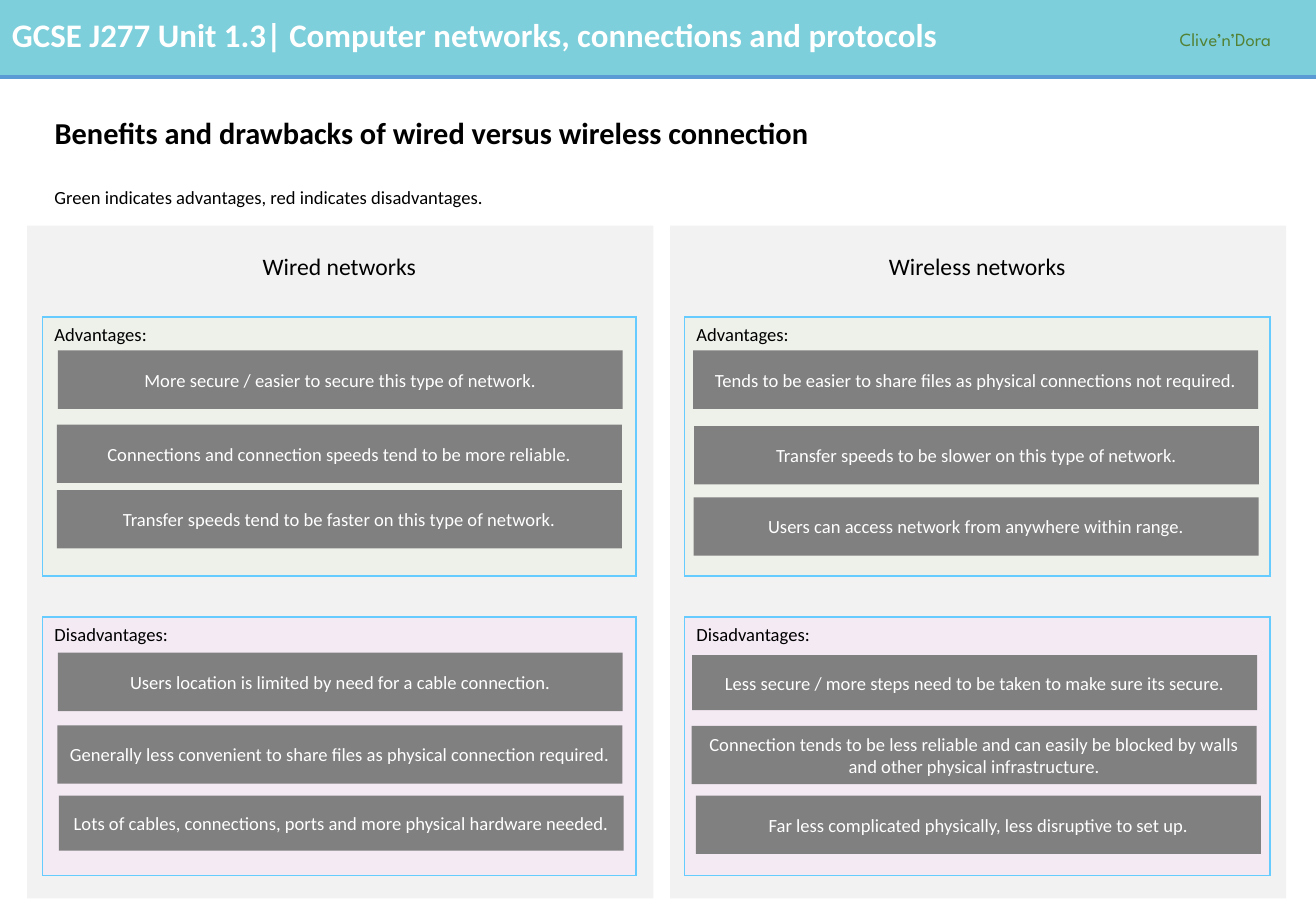
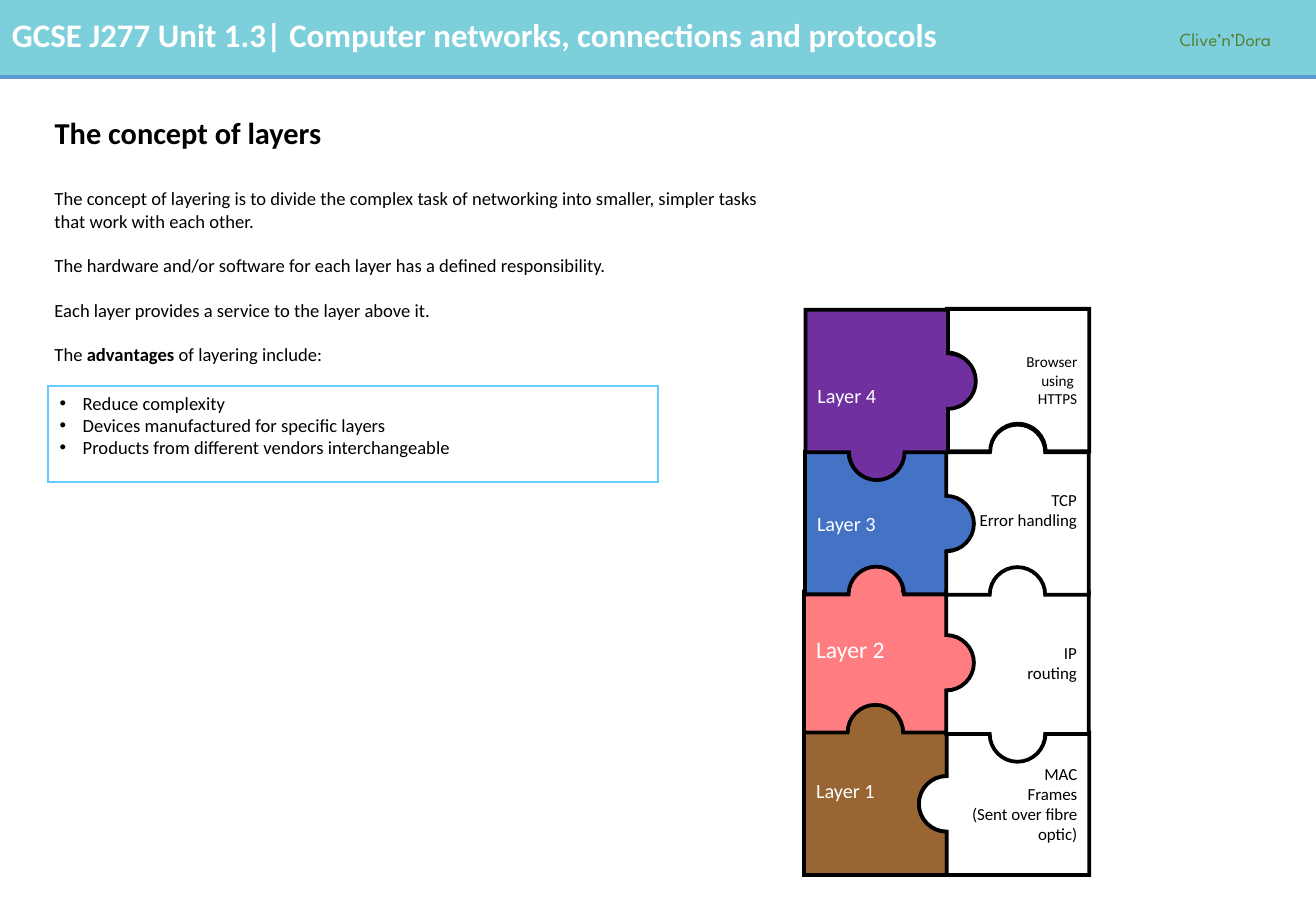
"""Build two revision slides on wired and wireless networks and on network layers."""
from dataclasses import dataclass

import pptx
import pptx.dml.color
import pptx.enum.shapes
import pptx.enum.text
import pptx.oxml.ns
import pptx.util
from lxml import etree

Cm = pptx.util.Cm
Pt = pptx.util.Pt
RGB = pptx.dml.color.RGBColor.from_string
ALIGN = pptx.enum.text.PP_ALIGN
ANCHOR = pptx.enum.text.MSO_ANCHOR
RECTANGLE = pptx.enum.shapes.MSO_SHAPE.RECTANGLE
qn = pptx.oxml.ns.qn


@dataclass(frozen=True)
class Theme:
    font: str = "Calibri"
    brand_font: str = "League Spartan"
    black: str = "000000"
    white: str = "FFFFFF"
    band: str = "7CCFDB"
    rule: str = "5B9BD5"
    brand: str = "548235"
    panel: str = "F2F2F2"
    card: str = "808080"
    outline: str = "66CCFF"
    advantage: str = "E2F0D9"
    disadvantage: str = "FFCCFF"
    purple: str = "7030A0"
    blue: str = "4472C4"
    coral: str = "FF7C80"
    brown: str = "996633"
    banner_size: float = 19.5
    title_size: float = 18
    heading_size: float = 14
    layer_size: float = 12
    body_size: float = 11
    detail_size: float = 10
    small_size: float = 9
    thin: float = 1
    thick: float = 2.25


theme = Theme()


def write(frame, paragraphs, size=theme.body_size, color=theme.black, font=theme.font,
          bold=False, align=ALIGN.LEFT, anchor=ANCHOR.TOP, gap=0, spacing=1.0, bullet=None):
    frame_format = {"word_wrap": True, "vertical_anchor": anchor,
                    "auto_size": pptx.enum.text.MSO_AUTO_SIZE.NONE}
    for key, value in frame_format.items():
        setattr(frame, key, value)
    for index, text in enumerate(paragraphs):
        paragraph = frame.add_paragraph() if index else frame.paragraphs[0]
        paragraph_format = {"alignment": align, "line_spacing": spacing,
                            "space_before": Pt(gap if index else 0), "space_after": Pt(0)}
        for key, value in paragraph_format.items():
            setattr(paragraph, key, value)
        if bullet:
            properties = paragraph._p.get_or_add_pPr()
            properties.set("marL", str(Cm(0.48)))
            properties.set("indent", str(-Cm(0.48)))
            etree.SubElement(properties, qn("a:buFont"), typeface="Arial")
            etree.SubElement(properties, qn("a:buChar"), char=bullet)
        for line_number, line in enumerate(text.split("\n")):
            if line_number:
                paragraph.add_line_break()
            for part, words in enumerate(line.split("*")):
                run = paragraph.add_run()
                run.text = words
                run_format = {"name": font, "size": Pt(size), "bold": bold or part % 2 == 1}
                for key, value in run_format.items():
                    setattr(run.font, key, value)
                run.font.color.rgb = RGB(color)


def paint(shape, fill=None, line=None, weight=theme.thin, opacity=None):
    shape.shadow.inherit = False
    if fill:
        shape.fill.solid()
        shape.fill.fore_color.rgb = RGB(fill)
    else:
        shape.fill.background()
    if opacity:
        color = shape.fill._xPr.find(qn("a:solidFill"))[0]
        etree.SubElement(color, qn("a:alpha"), val=str(opacity * 1000))
    if line:
        shape.line.color.rgb = RGB(line)
        shape.line.width = Pt(weight)
        etree.SubElement(shape.element.spPr.find(qn("a:ln")), qn("a:miter"), lim="800000")
    else:
        shape.line.fill.background()
    return shape


deck = pptx.Presentation()
deck.slide_width, deck.slide_height = Cm(27.51), Cm(19.05)
layout = deck.slide_layouts.get_by_name("Title Only")
for placeholder in list(layout.placeholders):
    if placeholder.placeholder_format.type != pptx.enum.shapes.PP_PLACEHOLDER.TITLE:
        layout.shapes.element.remove(placeholder.element)

titles = ["Benefits and drawbacks of wired versus wireless connection", "The concept of layers"]
for title in titles:
    slide = deck.slides.add_slide(layout)
    title_format = {"left": Cm(0.89), "top": Cm(2.11), "width": Cm(25.65), "height": Cm(1.42)}
    for key, value in title_format.items():
        setattr(slide.shapes.title, key, value)
    write(slide.shapes.title.text_frame, [title], size=theme.title_size, bold=True,
          anchor=ANCHOR.MIDDLE, spacing=0.9)
comparison, layers = deck.slides

band = paint(comparison.shapes.add_shape(RECTANGLE, 0, 0, deck.slide_width, Cm(1.61)), theme.band)
rule = comparison.shapes.add_connector(pptx.enum.shapes.MSO_CONNECTOR.STRAIGHT,
                                       0, Cm(1.61), deck.slide_width, Cm(1.61))
rule.line.color.rgb = RGB(theme.rule)
rule.line.width = Pt(theme.thick)
etree.SubElement(rule.element.spPr, qn("a:effectLst"))
banner = comparison.shapes.add_textbox(0, Cm(0.18), Cm(24.08), Cm(1.09))
write(banner.text_frame, ["GCSE J277 Unit 1.3| Computer networks, connections and protocols"],
      size=theme.banner_size, color=theme.white, bold=True)
brand = comparison.shapes.add_textbox(Cm(24.41), Cm(0.43), Cm(3.1), Cm(0.74))
write(brand.text_frame, ["Clive’n’Dora"], color=theme.brand, font=theme.brand_font, spacing=1.07)
for shared in (band, rule, banner, brand):
    layout.shapes.element.append(shared.element)

groups = [("Advantages:", 6.63, theme.advantage, 30),
          ("Disadvantages:", 12.9, theme.disadvantage, 20)]
networks = [
    ("Wired networks", (0.57, 13.09), (0.89, 12.41), [
        [(1.21, 7.33, 1.22, "More secure / easier to secure this type of network."),
         (1.19, 8.88, 1.22, "Connections and connection speeds tend to be more reliable."),
         (1.19, 10.25, 1.22, "Transfer speeds tend to be faster on this type of network.")],
        [(1.21, 13.65, 1.22, "Users location is limited by need for a cable connection."),
         (1.2, 15.17, 1.22, "Generally less convenient to share files as physical connection "
                            "required."),
         (1.23, 16.64, 1.15, "Lots of cables, connections, ports and more physical hardware "
                             "needed.")]]),
    ("Wireless networks", (14.01, 12.88), (14.31, 12.24), [
        [(14.49, 7.33, 1.22, "Tends to be easier to share files as physical connections not "
                             "required."),
         (14.51, 8.91, 1.22, "Transfer speeds to be slower on this type of network."),
         (14.5, 10.4, 1.22, "Users can access network from anywhere within range.")],
        [(14.47, 13.7, 1.15, "Less secure / more steps need to be taken to make sure its "
                             "secure."),
         (14.46, 15.18, 1.22, "Connection tends to be less reliable and can easily be blocked "
                              "by walls and other physical infrastructure."),
         (14.55, 16.64, 1.22, "Far less complicated physically, less disruptive to set up.")]]),
]
for network, (panel_left, panel_width), (left, width), card_groups in networks:
    paint(comparison.shapes.add_shape(RECTANGLE, Cm(panel_left), Cm(4.72),
                                      Cm(panel_width), Cm(14.07)), theme.panel)
    heading = comparison.shapes.add_textbox(Cm(left), Cm(4.95), Cm(width), Cm(1.22))
    write(heading.text_frame, [network], size=theme.heading_size, align=ALIGN.CENTER,
          anchor=ANCHOR.MIDDLE)
    for (label, top, tint, opacity), cards in zip(groups, card_groups):
        group = comparison.shapes.add_shape(RECTANGLE, Cm(left), Cm(top), Cm(width), Cm(5.41))
        paint(group, tint, theme.outline, opacity=opacity)
        write(group.text_frame, [label])
        for card_left, card_top, card_height, point in cards:
            card = comparison.shapes.add_shape(RECTANGLE, Cm(card_left), Cm(card_top),
                                               Cm(11.81), Cm(card_height))
            paint(card, theme.card)
            write(card.text_frame, [point], color=theme.white, align=ALIGN.CENTER,
                  anchor=ANCHOR.MIDDLE)

note = comparison.shapes.add_textbox(Cm(0.89), Cm(3.77), Cm(9.58), Cm(0.74))
write(note.text_frame, ["Green indicates advantages, red indicates disadvantages."])

explanation = layers.shapes.add_textbox(Cm(0.89), Cm(3.79), Cm(15.39), Cm(4.01))
write(explanation.text_frame, [
    "The concept of layering is to divide the complex task of networking into smaller, "
    "simpler tasks that work with each other.",
    "The hardware and/or software for each layer has a defined responsibility.",
    "Each layer provides a service to the layer above it.",
    "The *advantages* of layering include:"], gap=13.2)

piece_side, knob_radius, curvature = 2.98, 0.58, 0.55
knob_curve = [(-1, 0), (-1, curvature), (-curvature, 1), (0, 1),
              (curvature, 1), (1, curvature), (1, 0)]
directions = [(1, 0), (0, 1), (-1, 0), (0, -1)]
name_style = {"color": theme.white, "size": theme.layer_size}
role_style = {"align": ALIGN.RIGHT, "size": theme.detail_size}
pieces = [
    (16.81, 12.37, (1, 1, -1, 0), theme.coral, ["Layer 2"],
     name_style | {"size": theme.heading_size}),
    (16.83, 9.45, (-1, 1, -1, 0), theme.blue, ["Layer 3"], name_style),
    (16.81, 15.32, (1, -1, 0, 0), theme.brown, ["Layer 1"], name_style),
    (19.79, 15.32, (-1, 0, 0, 1), theme.white, ["MAC", "Frames", "(Sent over fibre optic)"],
     role_style),
    (19.78, 12.37, (1, 0, 1, -1), theme.white, ["IP", "routing"], role_style),
    (19.78, 9.46, (1, 0, -1, -1), theme.white, ["TCP\nError handling"], role_style),
    (19.79, 6.46, (0, 0, -1, -1), theme.white, ["Browser", "using ", "HTTPS"],
     role_style | {"size": theme.small_size}),
    (16.84, 6.48, (0, 1, 1, 0), theme.purple, ["Layer 4"], name_style),
]
for x, y, knobs, fill, words, style in pieces:
    outline, curve_starts = [(x, y)], []
    for (dx, dy), knob in zip(directions, knobs):
        if knob:
            curve_starts += [len(outline), len(outline) + 3]
            for across, rise in knob_curve:
                along = piece_side / 2 + knob_radius * across
                outward = knob * knob_radius * rise
                outline.append((x + along * dx + outward * dy, y + along * dy - outward * dx))
        x, y = x + piece_side * dx, y + piece_side * dy
        outline.append((x, y))
    points = [(Cm(px), Cm(py)) for px, py in outline]
    builder = layers.shapes.build_freeform(*points[0], scale=1.0)
    builder.add_line_segments(points[1:-1], close=True)
    piece = paint(builder.convert_to_shape(), fill, theme.black, theme.thick)
    segments = list(piece.element.iter(qn("a:lnTo")))
    for start in curve_starts:
        controls = segments[start:start + 3]
        curve = etree.Element(qn("a:cubicBezTo"))
        controls[0].addprevious(curve)
        for segment in controls:
            curve.append(segment[0])
            segment.getparent().remove(segment)
    write(piece.text_frame, words, anchor=ANCHOR.MIDDLE, **style)

benefits = layers.shapes.add_shape(RECTANGLE, Cm(1), Cm(8.07), Cm(12.75), Cm(2.01))
paint(benefits, line=theme.outline)
write(benefits.text_frame, ["Reduce complexity", "Devices manufactured for specific layers",
                            "Products from different vendors interchangeable"], bullet="•")

deck.save("out.pptx")
